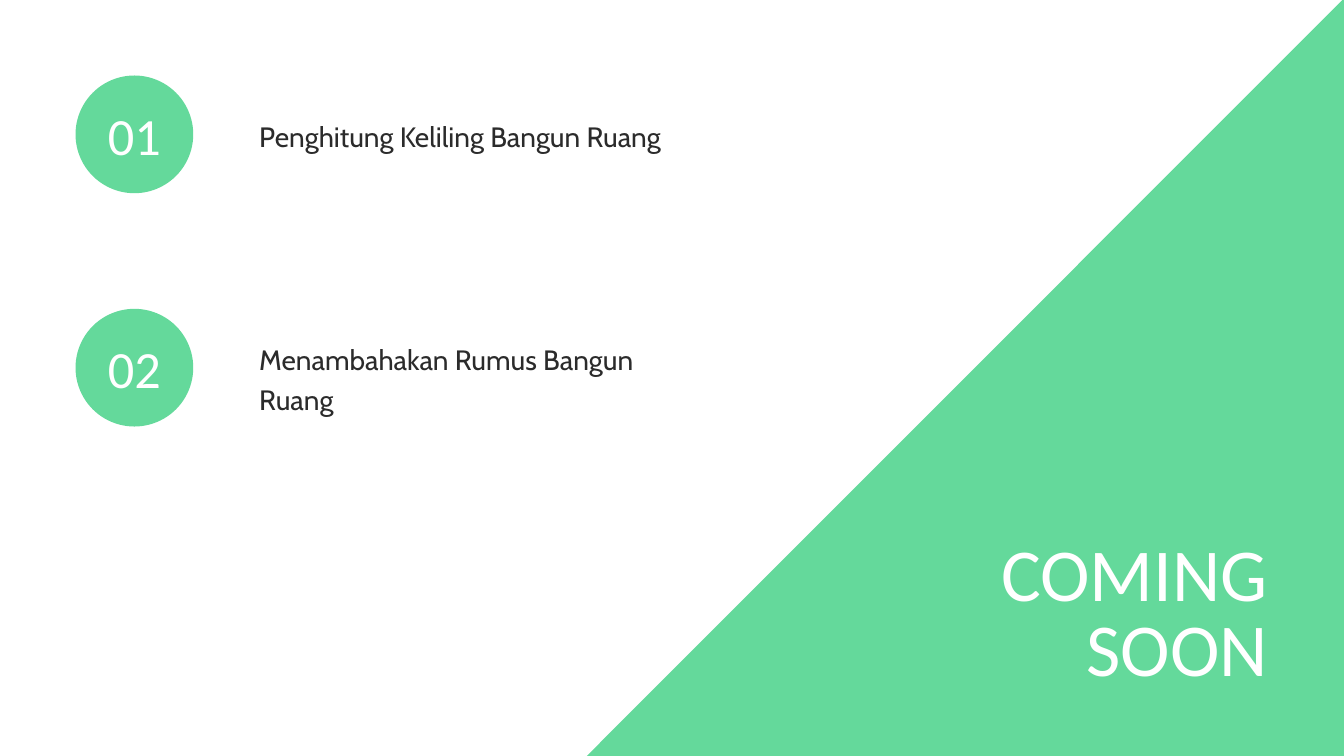
from dataclasses import dataclass

from pptx import Presentation
from pptx.dml.color import RGBColor
from pptx.enum.shapes import MSO_SHAPE
from pptx.enum.text import PP_ALIGN
from pptx.util import Cm, Pt

OVAL = MSO_SHAPE.OVAL
LEFT, CENTER, RIGHT = PP_ALIGN.LEFT, PP_ALIGN.CENTER, PP_ALIGN.RIGHT


@dataclass(frozen=True)
class Theme:
    green: RGBColor = RGBColor(0x64, 0xD9, 0x9B)
    white: RGBColor = RGBColor(0xFF, 0xFF, 0xFF)
    ink: RGBColor = RGBColor(0x2B, 0x2B, 0x2B)
    heading_font: str = "Calibri"
    body_font: str = "Cabin"
    title_size: int = 80
    number_size: int = 56
    body_size: int = 30
    body_spacing: int = 42


@dataclass(frozen=True)
class Feature:
    """An upcoming feature; lengths in centimetres."""
    number: str
    label: str
    center_y: float
    label_top: float
    label_height: float


THEME = Theme()
SLIDE_WIDTH, SLIDE_HEIGHT = 50.8, 28.58
BADGE_CENTER_X, BADGE_DIAMETER = 5.08, 4.45
NUMBER_WIDTH, NUMBER_HEIGHT, NUMBER_RISE = 2.97, 2.13, 0.8
LABEL_LEFT, LABEL_WIDTH = 9.8, 16.43

FEATURES = [
    Feature("01", "Penghitung Keliling Bangun Ruang", 5.08, 4.29, 1.42),
    Feature("02", "Menambahakan Rumus Bangun Ruang", 13.9, 12.75, 2.92),
]


def paint(shape, color: RGBColor) -> None:
    shape.shadow.inherit = False
    shape.fill.solid()
    shape.fill.fore_color.rgb = color
    shape.line.fill.background()


def add_text(slide, text: str, left: float, top: float, width: float,
             height: float, *, size: int, spacing: int, font: str,
             color: RGBColor, align=LEFT) -> None:
    box = slide.shapes.add_textbox(Cm(left), Cm(top), Cm(width), Cm(height))
    frame = box.text_frame
    frame.word_wrap = True
    frame.margin_left = frame.margin_right = 0
    frame.margin_top = frame.margin_bottom = 0
    paragraph = frame.paragraphs[0]
    paragraph.alignment = align
    paragraph.line_spacing = Pt(spacing)
    run = paragraph.add_run()
    run.text = text
    run.font.size = Pt(size)
    run.font.name = font
    run.font.color.rgb = color


def add_corner(slide) -> None:
    right, bottom = Cm(SLIDE_WIDTH), Cm(SLIDE_HEIGHT)
    builder = slide.shapes.build_freeform(right, Cm(-0.06))
    builder.add_line_segments([(right, bottom), (Cm(22.18), bottom)], close=True)
    paint(builder.convert_to_shape(), THEME.green)


def add_feature(slide, feature: Feature) -> None:
    radius = BADGE_DIAMETER / 2
    badge = slide.shapes.add_shape(
        OVAL, Cm(BADGE_CENTER_X - radius), Cm(feature.center_y - radius),
        Cm(BADGE_DIAMETER), Cm(BADGE_DIAMETER))
    paint(badge, THEME.green)
    add_text(slide, feature.number, BADGE_CENTER_X - NUMBER_WIDTH / 2,
             feature.center_y - NUMBER_RISE, NUMBER_WIDTH, NUMBER_HEIGHT,
             size=THEME.number_size, spacing=THEME.number_size,
             font=THEME.heading_font, color=THEME.white, align=CENTER)
    add_text(slide, feature.label, LABEL_LEFT, feature.label_top,
             LABEL_WIDTH, feature.label_height,
             size=THEME.body_size, spacing=THEME.body_spacing,
             font=THEME.body_font, color=THEME.ink)


def main() -> None:
    presentation = Presentation()
    presentation.slide_width = Cm(SLIDE_WIDTH)
    presentation.slide_height = Cm(SLIDE_HEIGHT)
    slide = presentation.slides.add_slide(presentation.slide_layouts[6])

    # Background and green corner
    slide.background.fill.solid()
    slide.background.fill.fore_color.rgb = THEME.white
    add_corner(slide)

    # Title
    add_text(slide, "COMING SOON", 32.49, 20.5, 15.44, 5.79,
             size=THEME.title_size, spacing=THEME.title_size,
             font=THEME.heading_font, color=THEME.white, align=RIGHT)

    # Numbered features
    for feature in FEATURES:
        add_feature(slide, feature)

    presentation.save("out.pptx")


if __name__ == "__main__":
    main()
